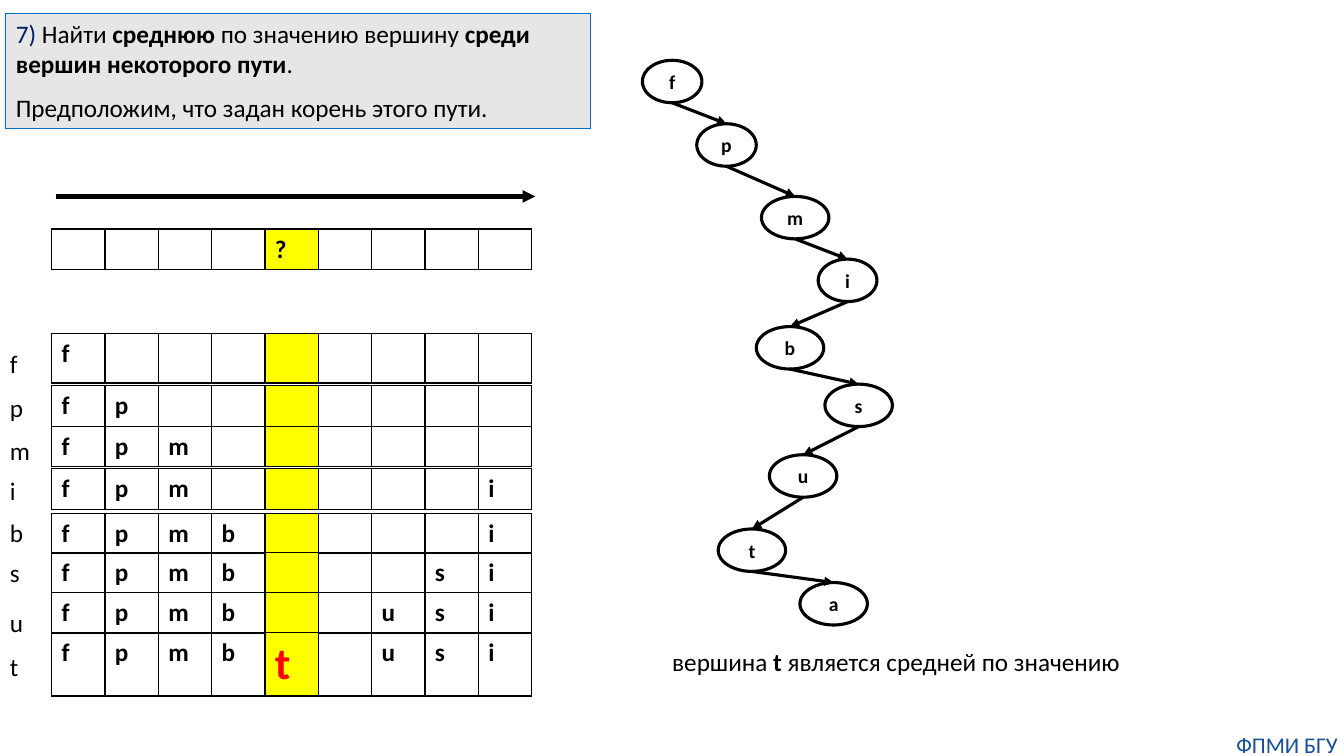
from lxml import etree
from pptx import Presentation
from pptx.dml.color import RGBColor as Rgb
from pptx.enum.shapes import MSO_CONNECTOR as Link, MSO_SHAPE as Shape
from pptx.enum.text import MSO_ANCHOR as Anchor, PP_ALIGN as Align
from pptx.oxml import parse_xml
from pptx.oxml.ns import nsdecls, qn
from pptx.util import Cm, Pt

COLORS = {"ink": "000000", "middle": "FFFF00", "found": "FF0000", "panel": "E7E6E6",
          "panel_edge": "0070C0", "number": "002060", "footer": "144E9D"}
FONT = "Calibri"
SLOT_COUNT, MIDDLE, SLOT_WIDTH = 9, 4, 1.344

# Vertices in path order: centre x, top, width (cm)
PATH = {"f": (16.94, 1.52, 1.5), "p": (18.31, 3.12, 1.5), "m": (20.04, 4.95, 1.7),
        "i": (21.36, 6.53, 1.48), "b": (19.91, 8.23, 1.7), "s": (21.64, 9.68, 1.7),
        "u": (20.24, 11.46, 1.7), "t": (18.95, 13.33, 1.7), "a": (21.01, 14.68, 1.7)}
VERTEX_HEIGHT = 1.07

# Insertion steps: vertex, its slot, label top, row top, row height (cm)
STEPS = [("f", 0, 8.66, 8.41, 1.24), ("p", 1, 9.75, 9.72, 1.02), ("m", 2, 10.85, 10.74, 1.02),
         ("i", 8, 11.86, 11.81, 1.02), ("b", 3, 12.9, 12.93, 1.02), ("s", 7, 13.92, 13.92, 1.02),
         ("u", 6, 15.19, 14.94, 1.02), ("t", 4, 16.28, 15.93, 1.6)]


def color(name):
    return Rgb.from_string(COLORS[name])


def write(para, spans, size=18, ink="ink", bold=False, align=Align.LEFT):
    """Fill a paragraph with (text, bold, colour) spans or one plain string."""
    para.alignment = align
    font = para.font
    font.name, font.size, font.bold = FONT, Pt(size), bold
    font.color.rgb = color(ink)
    if isinstance(spans, str):
        para.add_run().text = spans
        return
    for text, strong, span_ink in spans:
        span = para.add_run()
        span.text = text
        span.font.bold = strong
        span.font.color.rgb = color(span_ink)


def add_text(page, box, spans, wrap=False, inset=None, **style):
    frame = page.shapes.add_textbox(*map(Cm, box)).text_frame
    frame.word_wrap = wrap
    if inset is not None:
        frame.margin_left = frame.margin_right = Cm(inset)
        frame.margin_top = frame.margin_bottom = Cm(inset)
    write(frame.paragraphs[0], spans, **style)


def add_arrow(page, start, end, width):
    arrow = page.shapes.add_connector(Link.STRAIGHT, *map(Cm, start + end))
    arrow.line.width = Pt(width)
    arrow.line.color.rgb = color("ink")
    etree.SubElement(arrow.line._get_or_add_ln(), qn("a:tailEnd"), type="triangle")
    etree.SubElement(arrow._element.spPr, qn("a:effectLst"))


def border_cell(cell):
    props = cell._tc.get_or_add_tcPr()
    for index, side in enumerate(("lnL", "lnR", "lnT", "lnB")):
        props.insert(index, parse_xml(
            f'<a:{side} {nsdecls("a")} w="12700"><a:solidFill>'
            f'<a:srgbClr val="{COLORS["ink"]}"/></a:solidFill></a:{side}>'))


def add_slots(page, left, top, height, letters):
    """One row of slots; letters maps a slot number to its text."""
    frame = page.shapes.add_table(1, SLOT_COUNT, Cm(left), Cm(top),
                                  Cm(SLOT_COUNT * SLOT_WIDTH), Cm(height))
    table = frame.table
    table.first_row = table.horz_banding = False
    for slot in range(SLOT_COUNT):
        table.columns[slot].width = Cm(SLOT_WIDTH)
        cell = table.cell(0, slot)
        if slot == MIDDLE:
            cell.fill.solid()
            cell.fill.fore_color.rgb = color("middle")
        else:
            cell.fill.background()
        border_cell(cell)
        if slot in letters:
            found = letters[slot] == "t"
            write(cell.text_frame.paragraphs[0], letters[slot], bold=True,
                  size=32 if found else 18, ink="found" if found else "ink")


def add_task(page, box):
    panel = page.shapes.add_shape(Shape.RECTANGLE, *map(Cm, box))
    panel.shadow.inherit = False
    panel.fill.solid()
    panel.fill.fore_color.rgb = color("panel")
    panel.line.color.rgb = color("panel_edge")
    panel.line.width = Pt(0.75)
    frame = panel.text_frame
    frame.word_wrap, frame.vertical_anchor = True, Anchor.TOP
    first, second = frame.paragraphs[0], frame.add_paragraph()
    write(first, [("7) ", False, "number"), ("Найти ", False, "ink"),
                  ("среднюю ", True, "ink"), ("по значению вершину ", False, "ink"),
                  ("среди вершин некоторого пути", True, "ink"), (".", False, "ink")])
    write(second, "Предположим, что задан корень этого пути.")
    first.space_after = second.space_after = Pt(10)


def add_ordering(page, left):
    # Increasing order and the middle slot to be found
    add_arrow(page, (left + 0.1, 4.95), (left + 12.19, 4.95), 3)
    add_slots(page, left, 5.77, 1.02, {MIDDLE: "?"})
    # Slots filled vertex by vertex
    letters = {}
    for vertex, slot, label_top, row_top, row_height in STEPS:
        letters[slot] = vertex
        add_text(page, (0, label_top, 0.9, 1.02), vertex)
        add_slots(page, left, row_top, row_height, letters)


def add_path(page):
    for name, (center, top, width) in PATH.items():
        vertex = page.shapes.add_shape(Shape.OVAL, Cm(center - width / 2), Cm(top),
                                       Cm(width), Cm(VERTEX_HEIGHT))
        vertex.shadow.inherit = False
        vertex.fill.background()
        vertex.line.color.rgb = color("ink")
        vertex.line.width = Pt(2.25)
        frame = vertex.text_frame
        frame.word_wrap, frame.vertical_anchor = False, Anchor.MIDDLE
        write(frame.paragraphs[0], name, size=14, bold=True, align=Align.CENTER)
    places = list(PATH.values())
    for (x, top, _), (next_x, next_top, _) in zip(places, places[1:]):
        add_arrow(page, (x, top + VERTEX_HEIGHT), (next_x, next_top), 2.25)


def main():
    deck = Presentation()
    deck.slide_width, deck.slide_height = Cm(33.87), Cm(19.05)
    page = deck.slides.add_slide(deck.slide_layouts[6])
    add_path(page)
    add_ordering(page, 1.3)
    # Conclusion and footer
    add_text(page, (16.69, 16.15, 11.91, 1.02),
             [("вершина ", False, "ink"), ("t ", True, "ink"),
              ("является средней по значению", False, "ink")])
    add_text(page, (31, 18.42, 2.87, 0.69), "ФПМИ БГУ", wrap=True, inset=0,
             size=16, ink="footer", align=Align.CENTER)
    add_task(page, (0.15, 0.33, 14.73, 2.92))
    deck.save("out.pptx")


if __name__ == "__main__":
    main()
